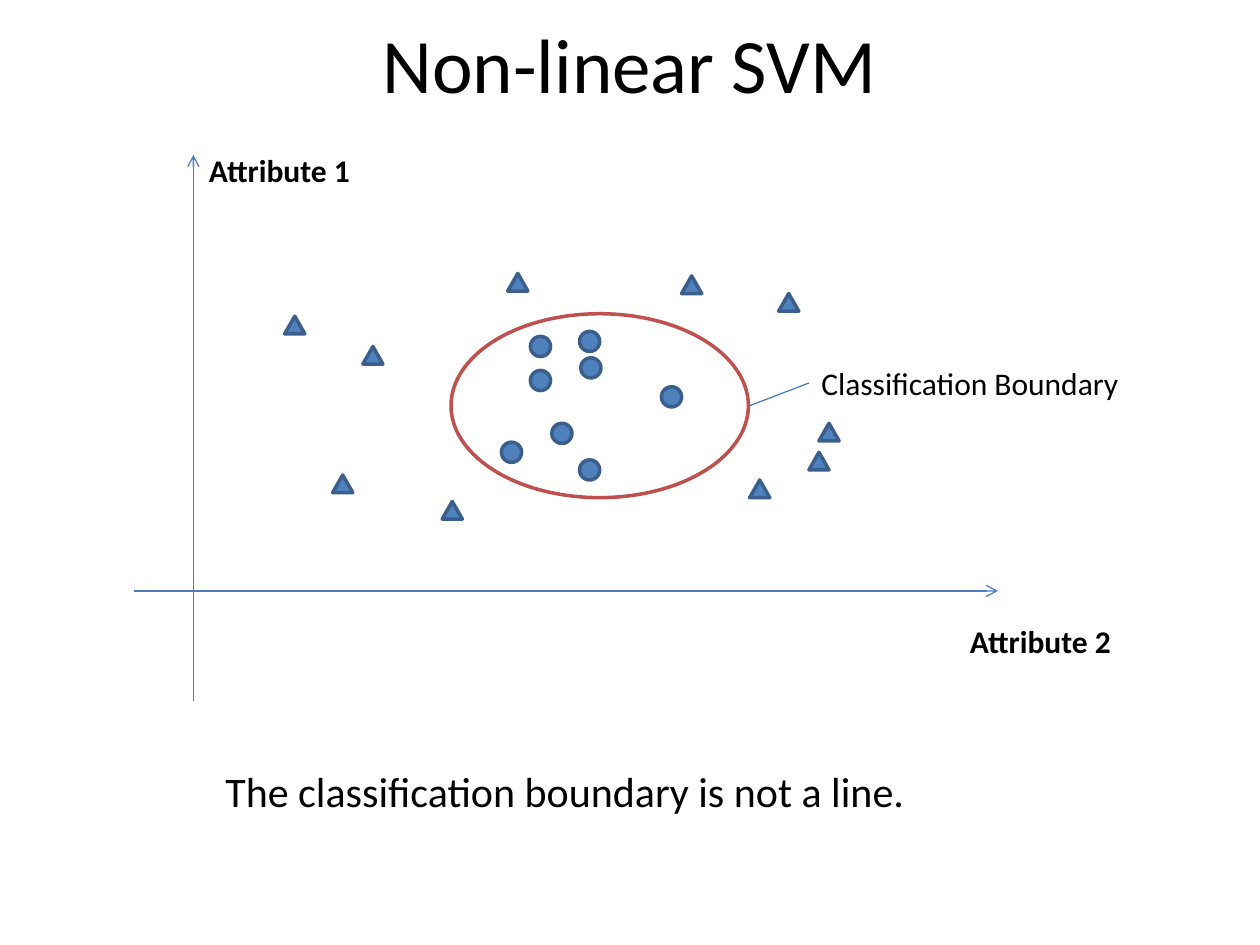
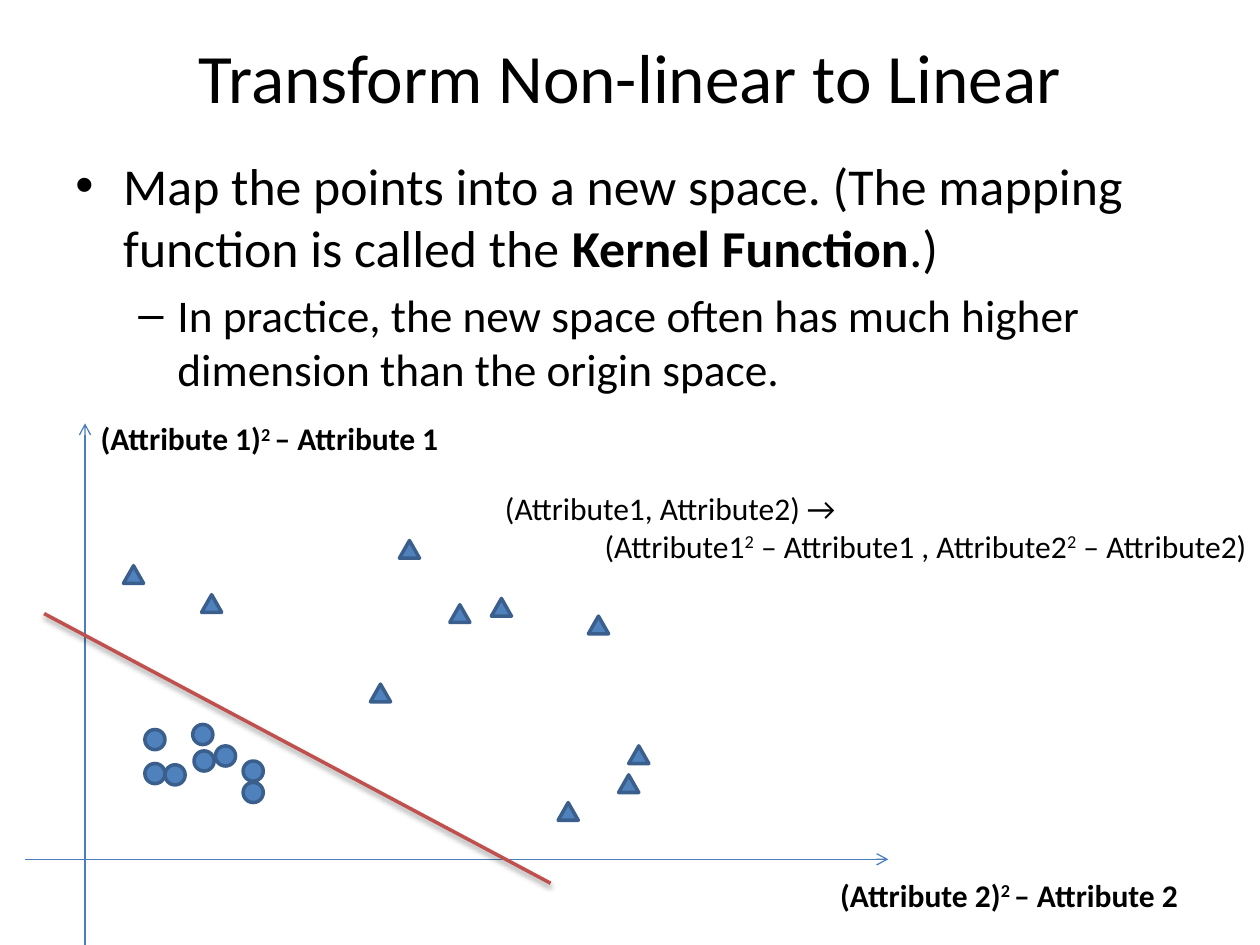
from dataclasses import dataclass

from lxml import etree
from pptx import Presentation
from pptx import util as u
from pptx.dml.color import RGBColor
from pptx.enum import shapes, text
from pptx.oxml import ns

COLORS = {
    "text": "000000",
    "axis": "4B7EBC",
    "point": "4F81BD",
    "point_edge": "3A5F8C",
    "boundary": "C0504D",
}
FONT = "Calibri"
COLUMNS, ROWS = 100, 75
CELL = u.Inches(10) // COLUMNS
LABEL_SIZE = 18

NONLINEAR_CIRCLES = [
    (31.5, 14.4), (35.5, 16.1), (33.2, 21.3), (35.4, 14),
    (29.2, 22.8), (31.5, 17.1), (35.4, 24.2), (41.9, 18.4),
]
NONLINEAR_TRIANGLES = [
    (43.5, 9.6), (29.7, 9.4), (18.2, 15.2), (12, 12.8), (15.8, 25.4),
    (48.9, 25.8), (53.6, 23.6), (54.4, 21.3), (51.2, 11), (24.5, 27.5),
]
LINEAR_CIRCLES = [
    (9.5, 24.3), (13.4, 26), (15.1, 25.6), (13.3, 23.9),
    (11.1, 27.1), (9.5, 27), (17.3, 28.5), (17.3, 26.8),
]
LINEAR_TRIANGLES = [
    (37, 13.9), (29.7, 9.3), (14, 13.6), (7.8, 11.3), (33.7, 14.4),
    (42.3, 30.1), (47.1, 27.9), (47.9, 25.6), (44.7, 15.3), (27.4, 20.7),
]


@dataclass
class Box:
    left: float
    top: float
    width: float
    height: float

    def inner(self, left, top, width, height):
        return Box(self.left + left, self.top + top, width, height)

    def point(self, column, row):
        return cells(self.left + column), cells(self.top + row)

    def lengths(self):
        return [cells(n) for n in (self.left, self.top, self.width, self.height)]


def cells(count):
    return u.Emu(round(count * CELL))


def color(name):
    return RGBColor.from_string(COLORS[name])


def format_font(font, size, bold=False):
    font.name = FONT
    font.size = u.Pt(size)
    font.bold = bold
    font.color.rgb = color("text")


def fill_paragraph(paragraph, parts, size, bold=False):
    for content, style in parts:
        run = paragraph.add_run()
        run.text = content
        format_font(run.font, size, bold or style == "bold")
        if style == "super":
            run.font._element.set("baseline", "30000")


def set_indent(paragraph, left, hanging=0, bullet=None):
    properties = paragraph._p.get_or_add_pPr()
    properties.set("marL", str(u.Inches(left)))
    properties.set("indent", str(-u.Inches(hanging)))
    if bullet:
        etree.SubElement(properties, ns.qn("a:buFont")).set("typeface", "Arial")
        etree.SubElement(properties, ns.qn("a:buChar")).set("char", bullet)


def add_title(slide, box, content, size):
    title = slide.shapes.title
    title.left, title.top, title.width, title.height = box.lengths()
    frame = title.text_frame
    frame.text = content
    frame.auto_size = text.MSO_AUTO_SIZE.NONE
    frame.vertical_anchor = text.MSO_ANCHOR.MIDDLE
    frame.paragraphs[0].alignment = text.PP_ALIGN.CENTER
    format_font(frame.paragraphs[0].runs[0].font, size)


def add_text(slide, box, paragraphs, size=LABEL_SIZE, bold=False, wrap=False):
    frame = slide.shapes.add_textbox(*box.lengths()).text_frame
    frame.word_wrap = wrap
    for index, parts in enumerate(paragraphs):
        paragraph = frame.add_paragraph() if index else frame.paragraphs[0]
        fill_paragraph(paragraph, parts, size, bold)
    return frame


def add_line(slide, start, end, name, width=0.75, arrow=False, shadow=False):
    line = slide.shapes.add_connector(shapes.MSO_CONNECTOR.STRAIGHT, *start, *end)
    line.line.color.rgb = color(name)
    line.line.width = u.Pt(width)
    if arrow:
        etree.SubElement(line.line._get_or_add_ln(), ns.qn("a:tailEnd")).set("type", "arrow")
    effects = etree.SubElement(line._element.spPr, ns.qn("a:effectLst"))
    if shadow:
        outer = etree.SubElement(
            effects, ns.qn("a:outerShdw"), blurRad=str(u.Pt(3.1)),
            dist=str(u.Pt(1.6)), dir="5400000", rotWithShape="0")
        shade = etree.SubElement(outer, ns.qn("a:srgbClr"), val=COLORS["text"])
        etree.SubElement(shade, ns.qn("a:alpha"), val="38000")


def add_outline(slide, kind, box, edge, fill=None):
    shape = slide.shapes.add_shape(kind, *box.lengths())
    shape.shadow.inherit = False
    if fill:
        shape.fill.solid()
        shape.fill.fore_color.rgb = color(fill)
    else:
        shape.fill.background()
    shape.line.color.rgb = color(edge)
    shape.line.width = u.Pt(2)


def add_points(slide, plot, kind, points, height):
    for column, row in points:
        add_outline(slide, kind, plot.inner(column, row, 1.6, height), "point_edge", "point")


def add_plot(slide, plot, vertical, horizontal, horizontal_at, label_width, circles, triangles):
    axis_column, axis_row = 4.75, 34.6
    add_line(slide, plot.point(0, axis_row), plot.point(plot.width, axis_row), "axis", arrow=True)
    add_line(slide, plot.point(axis_column, plot.height), plot.point(axis_column, 0), "axis", arrow=True)
    add_text(slide, plot.inner(*horizontal_at, label_width, 4), [horizontal], bold=True)
    add_text(slide, plot.inner(5, -0.8, label_width, 4), [vertical], bold=True)
    add_points(slide, plot, shapes.MSO_SHAPE.OVAL, circles, 1.6)
    add_points(slide, plot, shapes.MSO_SHAPE.ISOSCELES_TRIANGLE, triangles, 1.4)


def add_bullets(slide, box):
    frame = slide.shapes.add_textbox(*box.lengths()).text_frame
    frame.word_wrap = True
    main = frame.paragraphs[0]
    set_indent(main, 0.38, 0.38, "•")
    fill_paragraph(main, [
        ("Map the points into a new space. (The mapping function is called the ", None),
        ("Kernel Function", "bold"), (".)", None)], 29.6)
    detail = frame.add_paragraph()
    detail.level = 1
    set_indent(detail, 0.81, 0.31, "–")
    detail.space_before = u.Pt(5.2)
    fill_paragraph(detail, [
        ("In practice, the new space often has much higher dimension than the origin space.", None)], 25.9)


def add_mapping(slide, box):
    frame = add_text(slide, box, [
        [("(Attribute1, Attribute2) →", None)],
        [("(Attribute1", None), ("2", "super"), (" – Attribute1 , Attribute2", None),
         ("2", "super"), (" – Attribute2)", None)]], wrap=True)
    set_indent(frame.paragraphs[1], 0.79)


def squared(name):
    return [(f"({name})", None), ("2 ", "super"), (f"– {name}", None)]


def build_nonlinear(slide):
    add_title(slide, Box(5, 0.3, 90, 9.4), "Non-linear SVM", 44)
    plot = Box(10.6, 12.3, 68.6, 43.3)
    add_plot(slide, plot, [("Attribute 1", None)], [("Attribute 2", None)],
             (65.4, 36.6), 13.4, NONLINEAR_CIRCLES, NONLINEAR_TRIANGLES)
    add_outline(slide, shapes.MSO_SHAPE.OVAL, plot.inner(25.2, 12.6, 23.6, 14.6), "boundary")
    add_text(slide, plot.inner(53.6, 16.1, 25.9, 4), [[("Classification Boundary", None)]])
    add_line(slide, plot.point(53.6, 18.1), plot.point(48.9, 19.9), "axis")
    add_text(slide, Box(16.9, 60.3, 56.4, 5),
             [[("The classification boundary is not a line.", None)]], size=24)


def build_linear(slide):
    add_title(slide, Box(5, 2.5, 90, 7), "Transform Non-linear to Linear", 39.6)
    add_bullets(slide, Box(5, 11.7, 90, 21.9))
    plot = Box(2, 33.6, 68.5, 43.3)
    add_plot(slide, plot, squared("Attribute 1"), squared("Attribute 2"),
             (63.7, 35.4), 29.4, LINEAR_CIRCLES, LINEAR_TRIANGLES)
    add_line(slide, plot.point(1.5, 15.1), plot.point(41.7, 36.5), "boundary", 2, shadow=True)
    add_mapping(slide, plot.inner(37.1, 4.7, 61.4, 7.1))


def main():
    presentation = Presentation()
    presentation.slide_width = cells(COLUMNS)
    presentation.slide_height = cells(ROWS)
    title_only = presentation.slide_layouts[5]
    for build in (build_nonlinear, build_linear):
        build(presentation.slides.add_slide(title_only))
    presentation.save("out.pptx")


if __name__ == "__main__":
    main()
